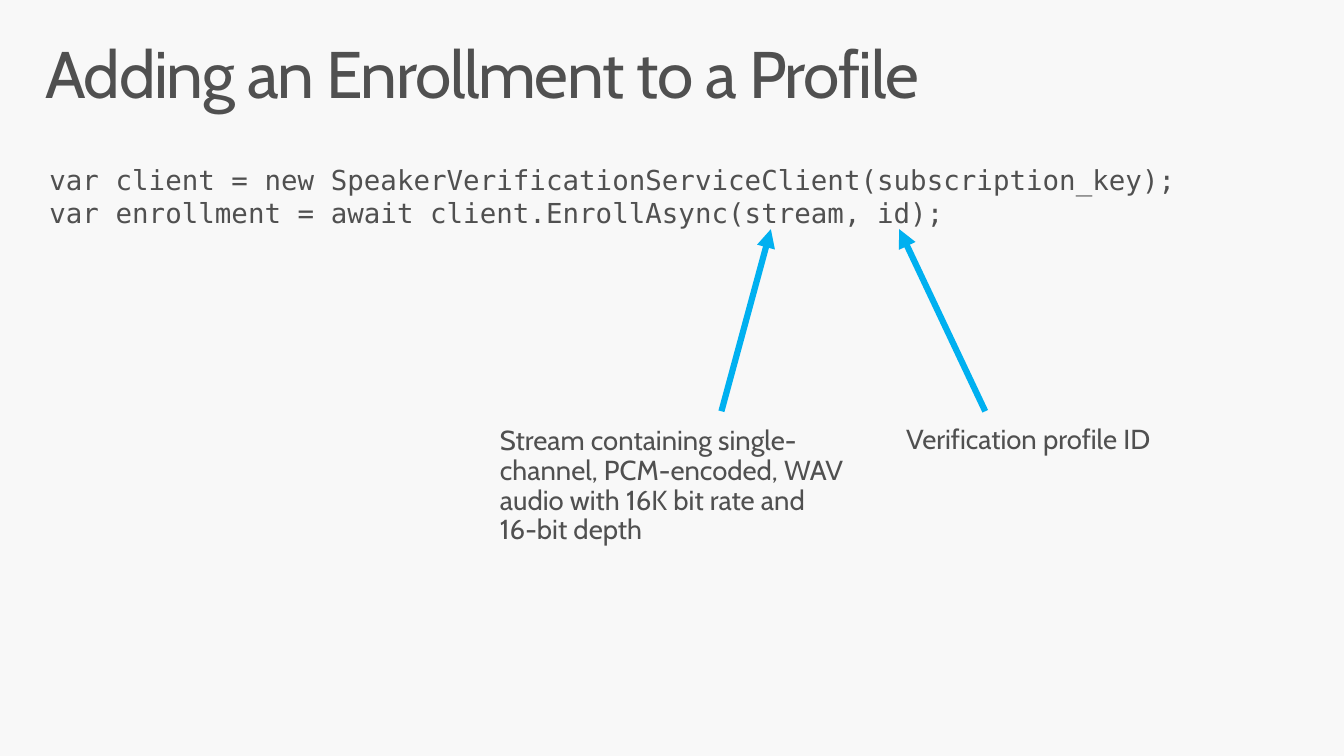
from lxml.etree import SubElement
from pptx import Presentation
from pptx.dml.color import RGBColor
from pptx.enum.shapes import MSO_CONNECTOR
from pptx.enum.text import MSO_ANCHOR
from pptx.oxml.ns import qn
from pptx.util import Cm, Pt

# Content
TITLE = "Adding an Enrollment to a Profile"
CODE = [
    "var client = new SpeakerVerificationServiceClient(subscription_key);",
    "var enrollment = await client.EnrollAsync(stream, id);",
]
# Each note: text, left, height, arrow start x, arrow tip x (cm)
NOTES = [
    ("Stream containing single-channel, PCM-encoded, WAV audio with "
     "16K bit rate and 16-bit depth", 12.34, 3.89, 18.54, 19.81),
    ("Verification profile ID", 22.78, 1.6, 25.32, 23.11),
]

# Style and layout (cm)
BACKGROUND, INK, ACCENT = "F8F8F8", "505050", "00B0F0"
BODY_FONT, CODE_FONT = "Cabin", "DejaVu Sans Mono"
LEFT, FULL_WIDTH, NOTE_WIDTH = 0.76, 33.02, 9.96
NOTE_TOP, ARROW_TIP = 10.57, 5.89


def color(value):
    return RGBColor.from_string(value)


def add_text(page, lines, left, top, width, height, font=BODY_FONT, size=20,
             inset=(0.51, 0.41), line_spacing=None, space_after=None, tracking=None):
    box = page.shapes.add_textbox(Cm(left), Cm(top), Cm(width), Cm(height))
    frame = box.text_frame
    frame.text = "\n".join(lines)
    frame.word_wrap = True
    frame.vertical_anchor = MSO_ANCHOR.TOP
    frame.margin_left = frame.margin_right = Cm(inset[0])
    frame.margin_top = frame.margin_bottom = Cm(inset[1])
    for para in frame.paragraphs:
        para.line_spacing = line_spacing
        para.space_after = space_after
        for span in para.runs:
            span.font.name = font
            span.font.size = Pt(size)
            span.font.color.rgb = color(INK)
            if tracking is not None:
                span.font._element.set("spc", str(tracking))


def add_arrow(page, start_x, tip_x):
    arrow = page.shapes.add_connector(
        MSO_CONNECTOR.STRAIGHT, Cm(start_x), Cm(NOTE_TOP), Cm(tip_x), Cm(ARROW_TIP))
    arrow.line.color.rgb = color(ACCENT)
    arrow.line.width = Pt(4.5)
    SubElement(arrow.line._get_or_add_ln(), qn("a:tailEnd"), type="triangle")
    SubElement(arrow._element.spPr, qn("a:effectLst"))


def main():
    deck = Presentation()
    deck.slide_width, deck.slide_height = Cm(34.54), Cm(19.43)
    page = deck.slides.add_slide(deck.slide_layouts[6])
    page.background.fill.solid()
    page.background.fill.fore_color.rgb = color(BACKGROUND)

    # Title and code
    add_text(page, [TITLE], LEFT, 0.81, FULL_WIDTH, 2.54, size=48,
             inset=(0.41, 0.25), line_spacing=0.9, tracking=-100)
    add_text(page, CODE, LEFT, 3.78, FULL_WIDTH, 2.54, font=CODE_FONT)

    # Notes pointing at the call's arguments
    for text, left, height, start_x, tip_x in NOTES:
        add_text(page, [text], left, NOTE_TOP, NOTE_WIDTH, height,
                 line_spacing=0.9, space_after=Pt(6))
        add_arrow(page, start_x, tip_x)

    deck.save("out.pptx")


if __name__ == "__main__":
    main()
